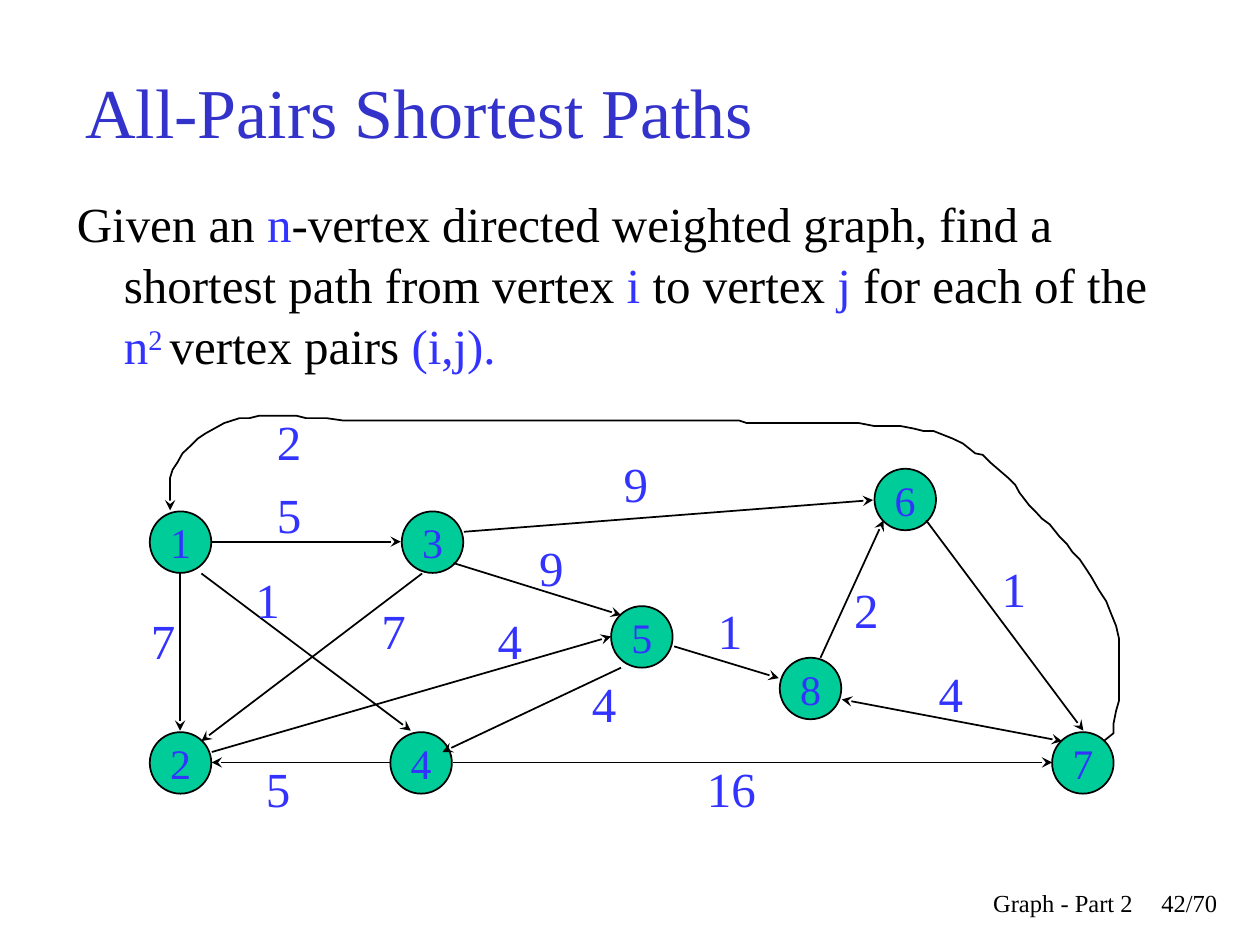
from dataclasses import dataclass

from lxml.etree import SubElement
from pptx import Presentation
from pptx.dml.color import RGBColor
from pptx.enum.shapes import MSO_CONNECTOR, MSO_SHAPE
from pptx.enum.text import MSO_ANCHOR, PP_ALIGN
from pptx.oxml.ns import qn
from pptx.util import Cm, Pt


@dataclass(frozen=True)
class Theme:
    face: str = "Times New Roman"
    heading: RGBColor = RGBColor(0x33, 0x33, 0xCC)
    accent: RGBColor = RGBColor(0x33, 0x33, 0xFF)
    ink: RGBColor = RGBColor(0, 0, 0)
    vertex: RGBColor = RGBColor(0, 0xCC, 0x99)
    title_size: int = 40
    body_size: int = 28
    vertex_size: int = 24
    footer_size: int = 14
    stroke: int = 1


theme = Theme()


def write(frame, runs, size, align=PP_ALIGN.LEFT, **frame_format):
    """Fill a text frame with one paragraph of (text, colour) runs."""
    for attribute, value in {"word_wrap": True, **frame_format}.items():
        setattr(frame, attribute, value)
    paragraph = frame.paragraphs[0]
    paragraph.alignment = align
    for text, color in runs:
        run = paragraph.add_run()
        run.text = text
        for attribute, value in {"name": theme.face, "size": Pt(size)}.items():
            setattr(run.font, attribute, value)
        run.font.color.rgb = color
    return paragraph


def draw_stroke(shape, arrow_ends=()):
    """Give a shape its black outline and any stealth arrowheads."""
    shape.line.color.rgb = theme.ink
    shape.line.width = Pt(theme.stroke)
    outline = shape.line._get_or_add_ln()
    for end in arrow_ends:
        SubElement(outline, qn(f"a:{end}"), type="stealth")


deck = Presentation()
deck.slide_width, deck.slide_height = Cm(25.4), Cm(19.05)
slide = deck.slides.add_slide(deck.slide_layouts[6])
shapes = slide.shapes

# Title
title = shapes.add_textbox(Cm(1.47), Cm(0.64), Cm(21.59), Cm(3.18))
write(title.text_frame, [("All-Pairs Shortest Paths", theme.heading)],
      theme.title_size, vertical_anchor=MSO_ANCHOR.MIDDLE)

# Problem statement, with a hanging indent
statement_runs = [
    ("Given an ", theme.ink), ("n", theme.accent),
    ("-vertex directed weighted graph, find a shortest path from vertex ", theme.ink),
    ("i ", theme.accent), ("to vertex", theme.ink), (" j", theme.accent),
    (" for each of the ", theme.ink), ("n", theme.accent), ("2 ", theme.accent),
    ("vertex pairs ", theme.ink), ("(i,j).", theme.accent),
]
statement = shapes.add_textbox(Cm(1.3), Cm(3.73), Cm(22.43), Cm(4.45))
definition = write(statement.text_frame, statement_runs, theme.body_size)
definition.line_spacing = 1.04
indents = definition._p.get_or_add_pPr()
for side, distance in {"marL": Cm(0.95), "indent": Cm(-0.95)}.items():
    indents.set(side, str(distance))
exponent = definition.runs[8]
exponent.font._element.set("baseline", "30000")

# Vertices: label, left, top
vertices = [
    ("1", 3.02, 10.31), ("2", 3.02, 14.76), ("3", 8.1, 10.31), ("4", 7.87, 14.76),
    ("5", 12.32, 12.22), ("6", 17.63, 9.45), ("7", 21.21, 14.76), ("8", 15.72, 13.26),
]
diameter = Cm(1.24)
no_margins = dict.fromkeys(
    ("margin_left", "margin_top", "margin_right", "margin_bottom"), 0)
for label, left, top in vertices:
    vertex = shapes.add_shape(MSO_SHAPE.OVAL, Cm(left), Cm(top), diameter, diameter)
    vertex.shadow.inherit = False
    vertex.fill.solid()
    vertex.fill.fore_color.rgb = theme.vertex
    draw_stroke(vertex)
    write(vertex.text_frame, [(label, theme.accent)], theme.vertex_size,
          PP_ALIGN.CENTER, vertical_anchor=MSO_ANCHOR.MIDDLE,
          **{**no_margins, "word_wrap": False})

# Straight edges: start, end, arrow ends
one_way, both_ways = ("tailEnd",), ("headEnd", "tailEnd")
edges = [
    ((3.63, 11.56), (3.63, 14.73), one_way),     # 1 to 2
    ((7.87, 15.37), (4.27, 15.37), one_way),     # 4 to 2
    ((4.27, 10.92), (8.08, 10.92), one_way),     # 1 to 3
    ((4.06, 11.56), (8.28, 14.73), one_way),     # 1 to 4
    ((8.51, 11.56), (4.06, 14.94), one_way),     # 3 to 2
    ((9.14, 11.35), (12.52, 12.4), one_way),     # 3 to 5
    ((4.27, 15.16), (12.32, 12.83), one_way),    # 2 to 5
    ((12.52, 13.46), (8.92, 15.16), one_way),    # 5 to 4
    ((9.14, 15.37), (21.21, 15.37), one_way),    # 4 to 7
    ((13.59, 13.03), (15.7, 13.67), one_way),    # 5 to 8
    ((9.35, 10.72), (17.6, 10.08), one_way),     # 3 to 6
    ((18.67, 10.49), (21.84, 14.73), one_way),   # 6 to 7
    ((16.97, 14.1), (21.41, 14.94), both_ways),  # 8 and 7
    ((16.54, 13.26), (17.81, 10.49), one_way),   # 8 to 6
]
for start, end, arrow_ends in edges:
    edge = shapes.add_connector(MSO_CONNECTOR.STRAIGHT, *map(Cm, start + end))
    draw_stroke(edge, arrow_ends)
    SubElement(edge._element.spPr, qn("a:effectLst"))

# Curved edge from 7 back to 1
return_route = [
    (22.25, 14.94), (22.45, 14.78), (22.45, 14.58), (22.5, 14.33), (22.56, 14.12),
    (22.56, 12.88), (22.5, 12.62), (22.4, 12.37), (22.3, 12.12), (22.15, 11.89),
    (22, 11.63), (21.87, 11.43), (21.77, 11.28), (21.62, 11.13), (21.51, 10.97),
    (21.36, 10.82), (21.16, 10.57), (21.01, 10.46), (20.9, 10.34), (20.75, 10.19),
    (20.55, 9.93), (20.47, 9.78), (20.32, 9.63), (19.96, 9.32), (19.81, 9.17),
    (19.66, 9.14), (19.41, 8.94), (19.2, 8.84), (18.82, 8.69), (18.62, 8.69),
    (18.42, 8.64), (18.16, 8.59), (17.63, 8.59), (17.32, 8.53), (15.06, 8.53),
    (14.91, 8.48), (6.93, 8.48), (6.58, 8.43), (6.17, 8.43), (5.97, 8.38),
    (5.23, 8.38), (5.03, 8.43), (4.83, 8.43), (4.52, 8.53), (4.14, 8.74),
    (3.99, 8.84), (3.84, 8.99), (3.68, 9.14), (3.58, 9.32), (3.48, 9.47),
    (3.43, 9.63), (3.43, 10.29),
]
route_start, *route_rest = [(Cm(x), Cm(y)) for x, y in return_route]
route = shapes.build_freeform(*route_start)
route.add_line_segments(route_rest, close=False)
return_edge = route.convert_to_shape()
return_edge.shadow.inherit = False
return_edge.fill.background()
draw_stroke(return_edge, one_way)

# Edge weights: weight, left, top
weights = [
    ("5", 5.33, 9.65), ("7", 2.79, 12.19), ("1", 4.9, 11.35), ("7", 7.44, 11.99),
    ("9", 12.32, 9.02), ("1", 14.22, 11.99), ("9", 10.62, 10.72), ("4", 9.78, 12.19),
    ("4", 11.68, 13.46), ("5", 5.11, 15.16), ("16", 14, 15.16), ("4", 18.67, 13.26),
    ("2", 5.33, 8.18), ("1", 19.94, 11.13), ("2", 16.97, 11.56),
]
for weight, left, top in weights:
    weight_label = shapes.add_textbox(
        Cm(left), Cm(top), Cm(1.07 * len(weight)), Cm(1.45))
    write(weight_label.text_frame, [(weight, theme.accent)], theme.body_size)

# Footer: text, left, width
for text, left, width in [("42/70", 23.06, 1.73), ("Graph - Part 2", 15.04, 8.05)]:
    footer = shapes.add_textbox(Cm(left), Cm(17.78), Cm(width), Cm(1.27))
    write(footer.text_frame, [(text, theme.ink)], theme.footer_size, PP_ALIGN.RIGHT)

deck.save("out.pptx")
